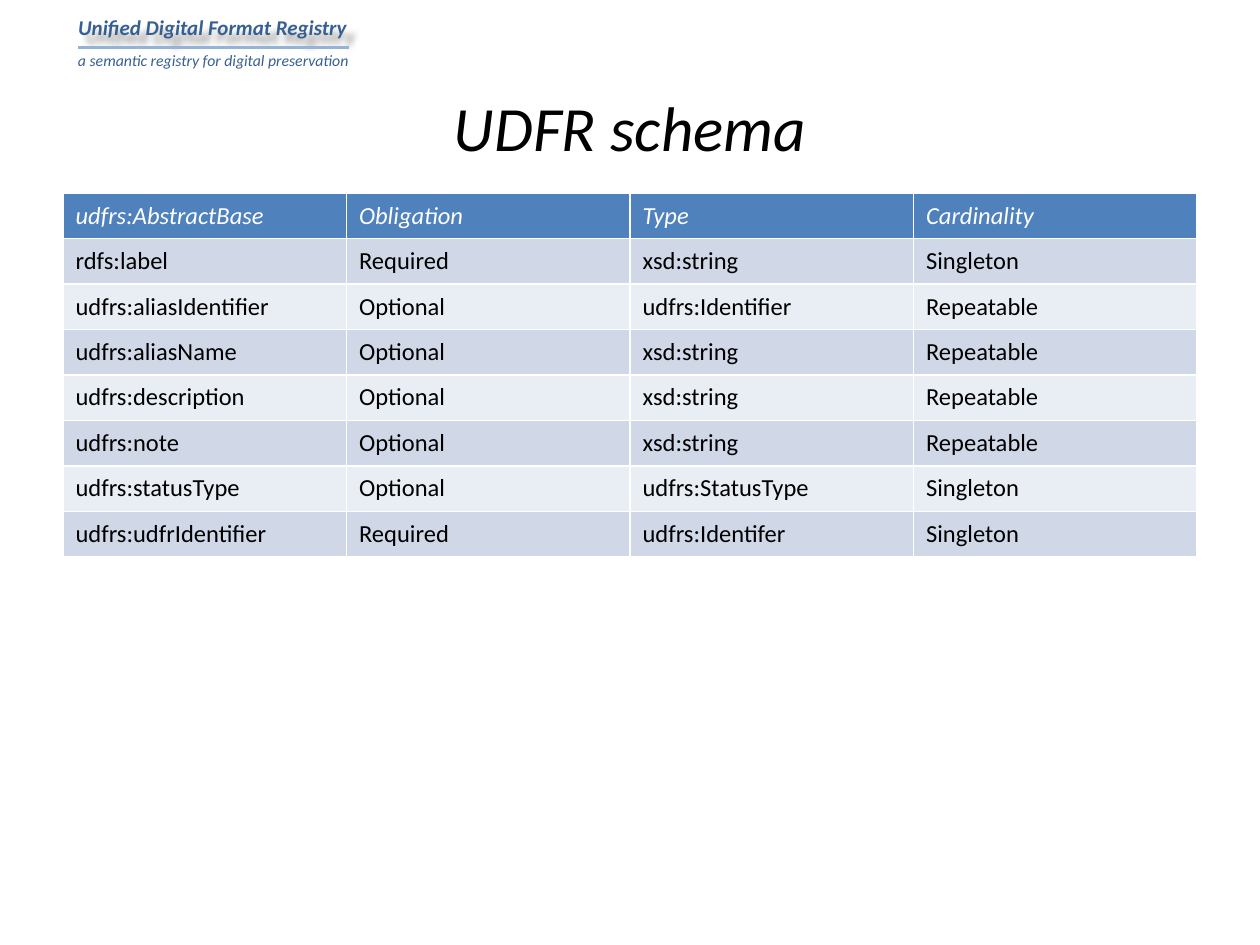
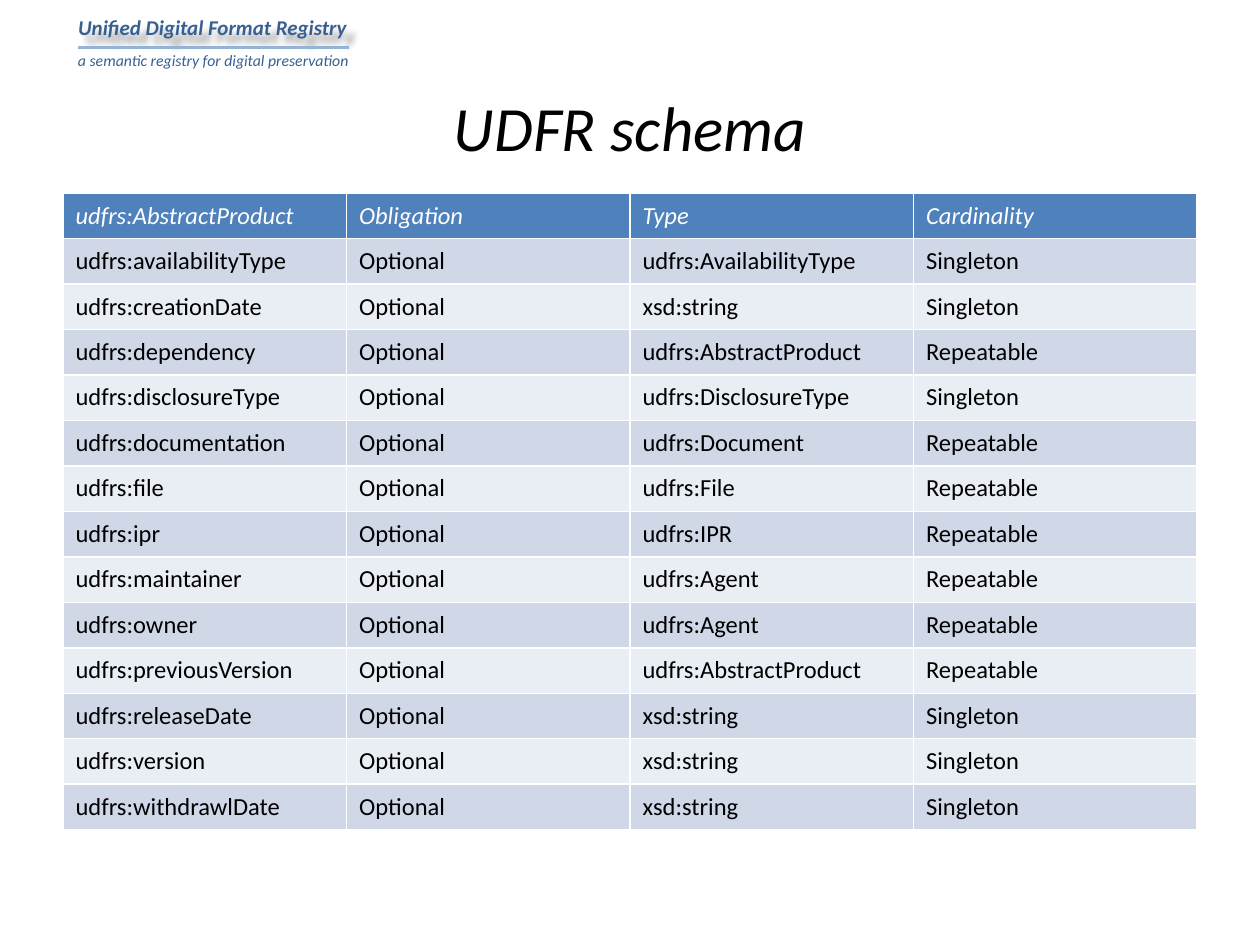
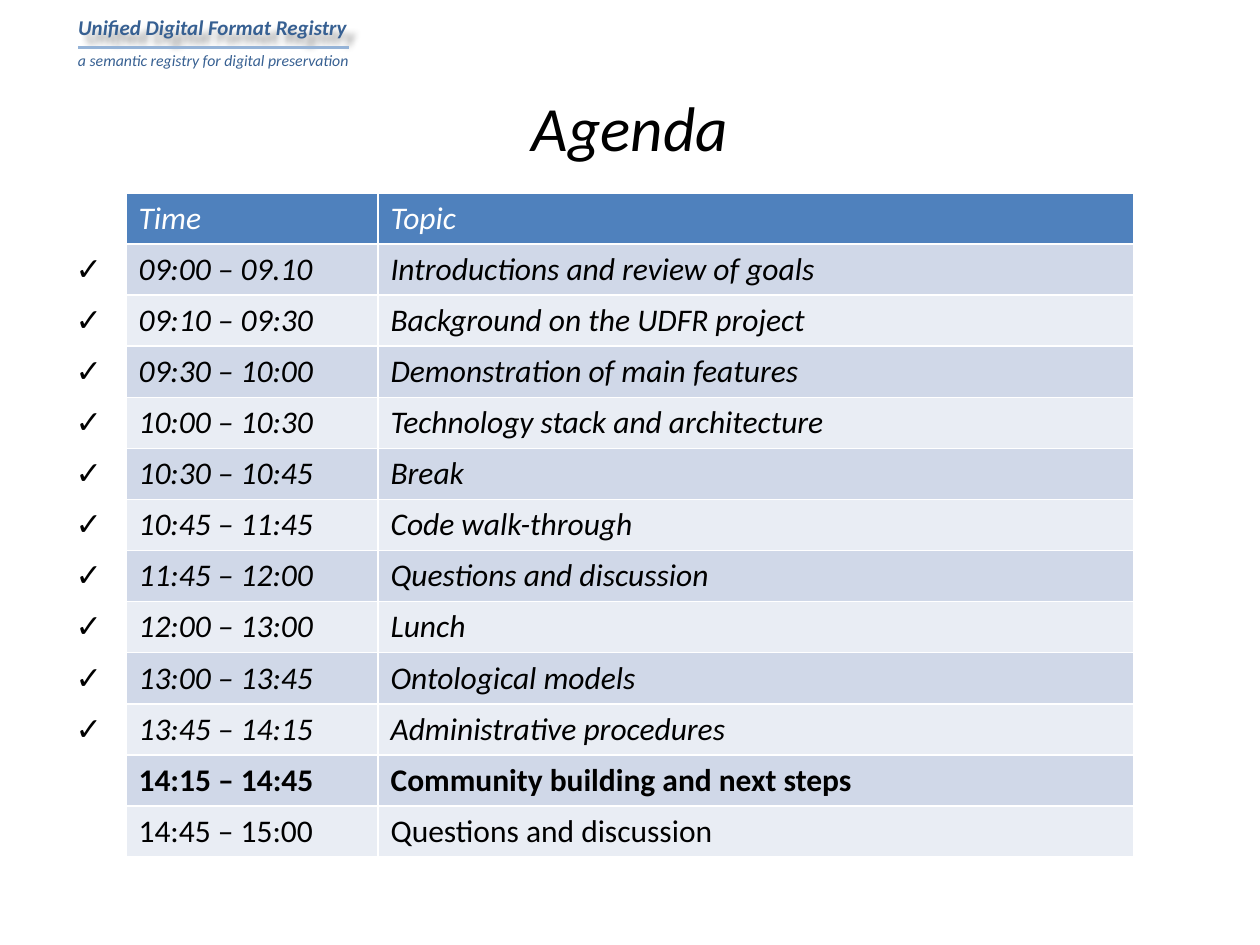
from lxml import etree
from pptx import Presentation
from pptx.dml.color import RGBColor
from pptx.enum.shapes import MSO_CONNECTOR
from pptx.enum.text import MSO_ANCHOR, PP_ALIGN
from pptx.oxml import parse_xml
from pptx.oxml.ns import nsdecls, qn
from pptx.util import Pt

LINE = MSO_CONNECTOR.STRAIGHT
TOP, MID = MSO_ANCHOR.TOP, MSO_ANCHOR.MIDDLE
LEFT, MIDDLE = PP_ALIGN.LEFT, PP_ALIGN.CENTER

HUES = {
    "ink": "000000", "white": "FFFFFF", "brand": "376092", "rule": "95B3D7",
    "head": "4F81BD", "odd": "D0D8E8", "even": "E9EDF4",
}
BASE = {"name": "Calibri", "bold": False, "italic": False}
SHADOW = (
    f'<a:effectLst {nsdecls("a")}><a:outerShdw blurRad="50800" dist="76200" '
    'dir="2700000" algn="tl" rotWithShape="0"><a:srgbClr val="000000">'
    '<a:alpha val="40000"/></a:srgbClr></a:outerShdw></a:effectLst>'
)
NOW = "14:15 – 14:45"

# Table rows
base = [
    ("udfrs:AbstractBase", "Obligation", "Type", "Cardinality"),
    ("rdfs:label", "Required", "xsd:string", "Singleton"),
    ("udfrs:aliasIdentifier", "Optional", "udfrs:Identifier", "Repeatable"),
    ("udfrs:aliasName", "Optional", "xsd:string", "Repeatable"),
    ("udfrs:description", "Optional", "xsd:string", "Repeatable"),
    ("udfrs:note", "Optional", "xsd:string", "Repeatable"),
    ("udfrs:statusType", "Optional", "udfrs:StatusType", "Singleton"),
    ("udfrs:udfrIdentifier", "Required", "udfrs:Identifer", "Singleton"),
]
product = [
    ("udfrs:AbstractProduct", "Obligation", "Type", "Cardinality"),
    ("udfrs:availabilityType", "Optional", "udfrs:AvailabilityType", "Singleton"),
    ("udfrs:creationDate", "Optional", "xsd:string", "Singleton"),
    ("udfrs:dependency", "Optional", "udfrs:AbstractProduct", "Repeatable"),
    ("udfrs:disclosureType", "Optional", "udfrs:DisclosureType", "Singleton"),
    ("udfrs:documentation", "Optional", "udfrs:Document", "Repeatable"),
    ("udfrs:file", "Optional", "udfrs:File", "Repeatable"),
    ("udfrs:ipr", "Optional", "udfrs:IPR", "Repeatable"),
    ("udfrs:maintainer", "Optional", "udfrs:Agent", "Repeatable"),
    ("udfrs:owner", "Optional", "udfrs:Agent", "Repeatable"),
    ("udfrs:previousVersion", "Optional", "udfrs:AbstractProduct", "Repeatable"),
    ("udfrs:releaseDate", "Optional", "xsd:string", "Singleton"),
    ("udfrs:version", "Optional", "xsd:string", "Singleton"),
    ("udfrs:withdrawlDate", "Optional", "xsd:string", "Singleton"),
]
agenda = [
    ("", "Time", "Topic"),
    ("✓", "09:00 – 09.10", "Introductions and review of goals"),
    ("✓", "09:10 – 09:30", "Background on the UDFR project"),
    ("✓", "09:30 – 10:00", "Demonstration of main features"),
    ("✓", "10:00 – 10:30", "Technology stack and architecture"),
    ("✓", "10:30 – 10:45", "Break"),
    ("✓", "10:45 – 11:45", "Code walk-through"),
    ("✓", "11:45 – 12:00", "Questions and discussion"),
    ("✓", "12:00 – 13:00", "Lunch"),
    ("✓", "13:00 – 13:45", "Ontological models"),
    ("✓", "13:45 – 14:15", "Administrative procedures"),
    ("", NOW, "Community building and next steps"),
    ("", "14:45 – 15:00", "Questions and discussion"),
]

# Title, rows, column widths, row height, text size, anchor, unfilled columns
pages = [
    ("UDFR schema", base, [162] * 4, 26, 14, MID, 0),
    ("UDFR schema", product, [162] * 4, 26, 14, MID, 0),
    ("Agenda", agenda, [36, 144, 432], 29.2, 18, TOP, 1),
]


def write(frame, text, hue, size, align=LEFT, **look):
    para = frame.paragraphs[0]
    para.alignment = align
    run = para.add_run()
    run.text = text
    for key, value in {**BASE, "size": Pt(size), **look}.items():
        setattr(run.font, key, value)
    run.font.color.rgb = RGBColor.from_string(HUES[hue])


def label(slide, box, *args, **look):
    shape = slide.shapes.add_textbox(*map(Pt, box))
    shape.text_frame.word_wrap = True
    shape.text_frame.vertical_anchor = look.pop("anchor", TOP)
    write(shape.text_frame, *args, **look)
    return shape


deck = Presentation()
deck.slide_width, deck.slide_height = Pt(720), Pt(540)

for title, rows, widths, height, size, anchor, bare in pages:
    slide = deck.slides.add_slide(deck.slide_layouts[6])

    # Registry banner
    name = label(slide, (37.5, 5, 173, 21.6), "Unified Digital Format Registry",
                 "brand", 12, bold=True, italic=True)
    name._element.spPr.append(parse_xml(SHADOW))
    label(slide, (37.5, 25.2, 174.5, 18),
          "a semantic registry for digital preservation", "brand", 9, italic=True)
    rule = slide.shapes.add_connector(LINE, Pt(44.7), Pt(27.2), Pt(199.5), Pt(27.2))
    rule.line.color.rgb = RGBColor.from_string(HUES["rule"])
    rule.line.width = Pt(1.75)
    etree.SubElement(rule._element.spPr, qn("a:effectLst"))

    # Title
    label(slide, (36, 42, 648, 60), title, "ink", 36, MIDDLE,
          italic=True, anchor=MID)

    # Table
    frame = slide.shapes.add_table(len(rows), len(widths), Pt(36), Pt(110.2),
                                   Pt(sum(widths)), Pt(height * len(rows)))
    table = frame.table
    for col, width in zip(table.columns, widths):
        col.width = Pt(width)
    for r, row in enumerate(rows):
        table.rows[r].height = Pt(height)
        band = "head" if r == 0 else "odd" if r % 2 else "even"
        for c, text in enumerate(row):
            cell = table.cell(r, c)
            cell.vertical_anchor = anchor
            if c < bare:
                cell.fill.background()
            else:
                cell.fill.solid()
                cell.fill.fore_color.rgb = RGBColor.from_string(HUES[band])
            if text:
                done = row[0] == "✓" and c > 0
                write(cell.text_frame, text, "ink" if r else "white", size,
                      italic=r == 0 or done, bold=NOW in row)

deck.save("out.pptx")
